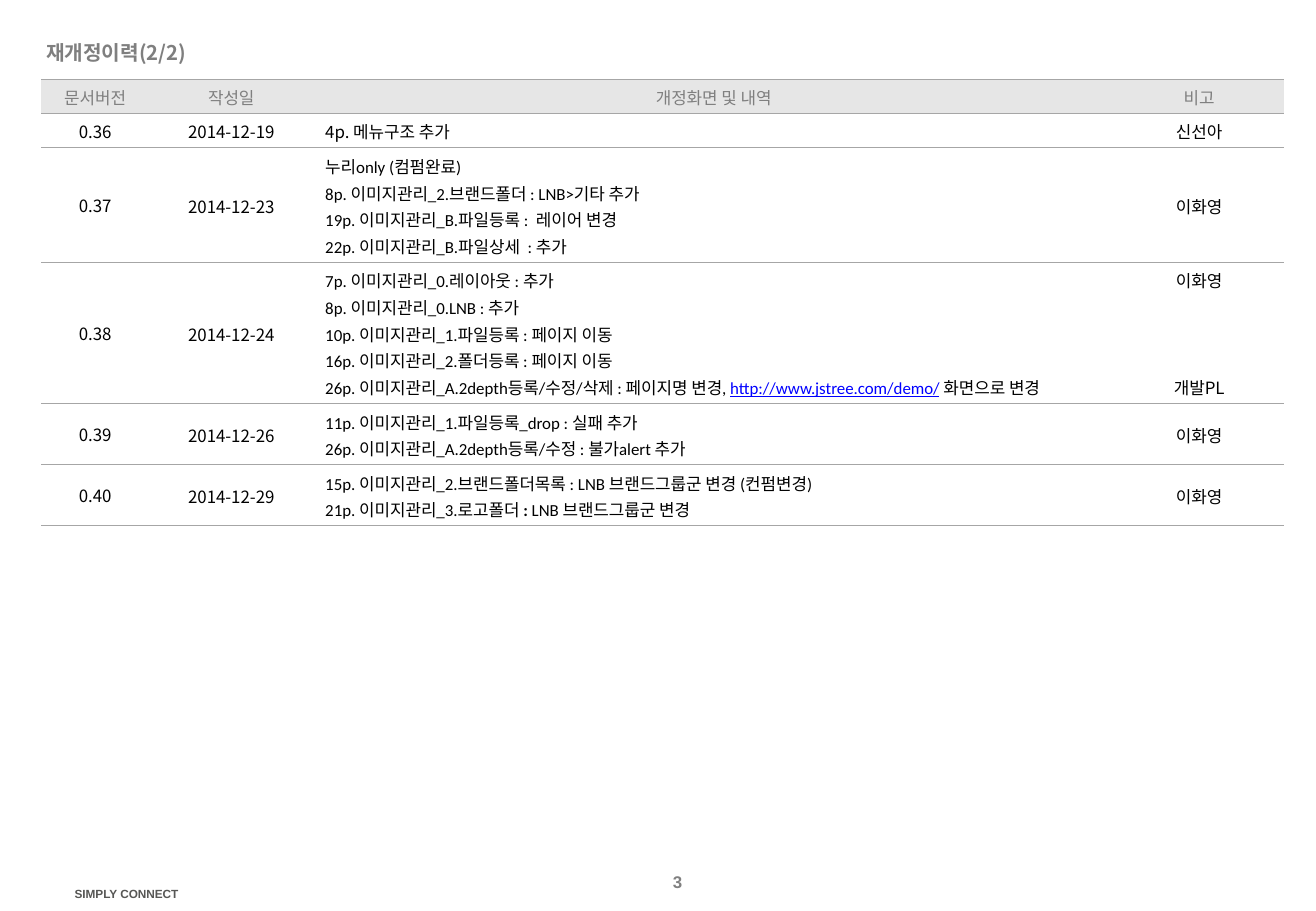
from lxml.etree import SubElement
from pptx import Presentation
from pptx.dml.color import RGBColor
from pptx.enum.text import MSO_ANCHOR, PP_ALIGN
from pptx.oxml.ns import qn
from pptx.util import Cm, Pt

HUES = {"title": "7F7F7F", "page": "808080", "foot": "575755", "ink": "000000",
        "link": "0000FF", "head": "E6E6E6", "white": "FFFFFF", "rule": "A6A6A6"}
SANS = "Noto Sans CJK KR"
LEFT, MID, RIGHT = PP_ALIGN.LEFT, PP_ALIGN.CENTER, PP_ALIGN.RIGHT
WIDTHS = (2.26, 3.43, 16.74, 3.56)
LINE, PAD = 0.56, 0.15
GAP = 47.5

HEADS = ("문서버전", "작성일", "개정화면 및 내역", "비고")
ROWS = (
    ("0.36", "2014-12-19", ["4p. 메뉴구조 추가"], ["신선아"]),
    ("0.37", "2014-12-23", [
        "누리only (컴펌완료)",
        "8p. 이미지관리_2.브랜드폴더 : LNB>기타 추가",
        "19p. 이미지관리_B.파일등록 :  레이어 변경",
        "22p. 이미지관리_B.파일상세  : 추가"], ["이화영"]),
    ("0.38", "2014-12-24", [
        "7p. 이미지관리_0.레이아웃 : 추가",
        "8p. 이미지관리_0.LNB : 추가",
        "10p. 이미지관리_1.파일등록 : 페이지 이동",
        "16p. 이미지관리_2.폴더등록 : 페이지 이동",
        [("26p. 이미지관리_A.2depth등록/수정/삭제 : 페이지명 변경, ", {}),
         ("http://www.jstree.com/demo/", {"hue": "link", "under": True}),
         (" 화면으로 변경", {})]], ["이화영", "개발PL"]),
    ("0.39", "2014-12-26", [
        "11p. 이미지관리_1.파일등록_drop : 실패 추가",
        "26p. 이미지관리_A.2depth등록/수정 : 불가alert 추가"], ["이화영"]),
    ("0.40", "2014-12-29", [
        "15p. 이미지관리_2.브랜드폴더목록 : LNB 브랜드그룹군 변경 (컨펌변경)",
        [("21p. 이미지관리_3.로고폴더", {}), (" : ", {"bold": True}),
         ("LNB 브랜드그룹군 변경", {})]], ["이화영"]),
)


def color(name):
    """Look up a colour by its role."""
    return RGBColor.from_string(HUES[name])


def style(run, size=10, face=SANS, hue="ink", bold=False, under=False):
    """Format one run, with the same Hangul face throughout."""
    font = run.font
    font.size, font.name, font.bold, font.underline = Pt(size), face, bold, under
    font.color.rgb = color(hue)
    SubElement(run._r.get_or_add_rPr(), qn("a:ea"), typeface=SANS)


def write(frame, lines, align=LEFT, space=1.0, gap=0, **look):
    """Write lines, each a string or a list of runs with their own format."""
    for i, line in enumerate(lines):
        para = frame.paragraphs[0] if i == 0 else frame.add_paragraph()
        para.alignment, para.line_spacing = align, space
        para.space_before = Pt(gap if i else 0)
        for words, extra in [(line, {})] if isinstance(line, str) else line:
            run = para.add_run()
            run.text = words
            style(run, **{**look, **extra})


def label(slide, words, x, y, wide, high, wrap=True, **look):
    """Add a one-line text box."""
    frame = slide.shapes.add_textbox(Cm(x), Cm(y), Cm(wide), Cm(high)).text_frame
    frame.word_wrap = wrap
    write(frame, [words], **look)


def edge(cell):
    """Rule a cell above and below, and leave its sides open."""
    props = cell._tc.get_or_add_tcPr()
    for side in ("lnL", "lnR", "lnT", "lnB"):
        line = SubElement(props, qn("a:" + side), w=str(Pt(0.5)))
        if side in ("lnL", "lnR"):
            SubElement(line, qn("a:noFill"))
        else:
            fill = SubElement(line, qn("a:solidFill"))
            SubElement(fill, qn("a:srgbClr"), val=HUES["rule"])


def fill(cell, lines, side, back="white", **look):
    """Fill one table cell with text, colour and rules."""
    cell.margin_left = cell.margin_right = Cm(side)
    cell.margin_top = cell.margin_bottom = Cm(0.08)
    cell.vertical_anchor = MSO_ANCHOR.MIDDLE
    edge(cell)
    cell.fill.solid()
    cell.fill.fore_color.rgb = color(back)
    write(cell.text_frame, lines, **look)


def history(slide):
    """Add the table of revisions."""
    highs = [LINE + PAD] + [LINE * len(row[2]) + PAD for row in ROWS]
    grid = slide.shapes.add_table(len(highs), len(WIDTHS), Cm(0.86), Cm(1.65),
                                  Cm(sum(WIDTHS)), Cm(sum(highs))).table
    grid.first_row = grid.horz_banding = False
    for col, wide in zip(grid.columns, WIDTHS):
        col.width = Cm(wide)
    for row, high in zip(grid.rows, highs):
        row.height = Cm(high)
    sides = (0, 0, 0.25, 0.25)
    for c, head in enumerate(HEADS):
        fill(grid.cell(0, c), [head], sides[c], back="head",
             hue="title", align=MID, space=1.1)
    for r, (mark, date, notes, names) in enumerate(ROWS, 1):
        fill(grid.cell(r, 0), [mark], 0, align=MID, space=1.1 if r == 1 else 1.0)
        fill(grid.cell(r, 1), [date], 0, align=MID, space=1.1)
        fill(grid.cell(r, 2), notes, 0.25, space=1.1,
             face=SANS if r == 1 else "Calibri")
        fill(grid.cell(r, 3), names, 0.25, align=MID, space=1.1, gap=GAP)


def main():
    """Build the revision history slide."""
    deck = Presentation()
    deck.slide_width, deck.slide_height = Cm(27.51), Cm(19.05)
    slide = deck.slides.add_slide(deck.slide_layouts[5])
    title = slide.shapes.title
    title.left, title.top, title.width, title.height = Cm(0.71), Cm(0.66), Cm(6.4), Cm(0.86)
    title.text_frame.vertical_anchor = MSO_ANCHOR.MIDDLE
    write(title.text_frame, ["재개정이력(2/2)"], size=12, hue="title", bold=True)
    history(slide)
    label(slide, "3", 13.34, 18.11, 1.65, 0.69,
          align=MID, face="Arial", hue="page", bold=True)
    label(slide, "SIMPLY CONNECT", 1.24, 18.42, 2.74, 0.56, wrap=False,
          align=RIGHT, size=7, face="Arial", hue="foot", bold=True)
    deck.save("out.pptx")


if __name__ == "__main__":
    main()
